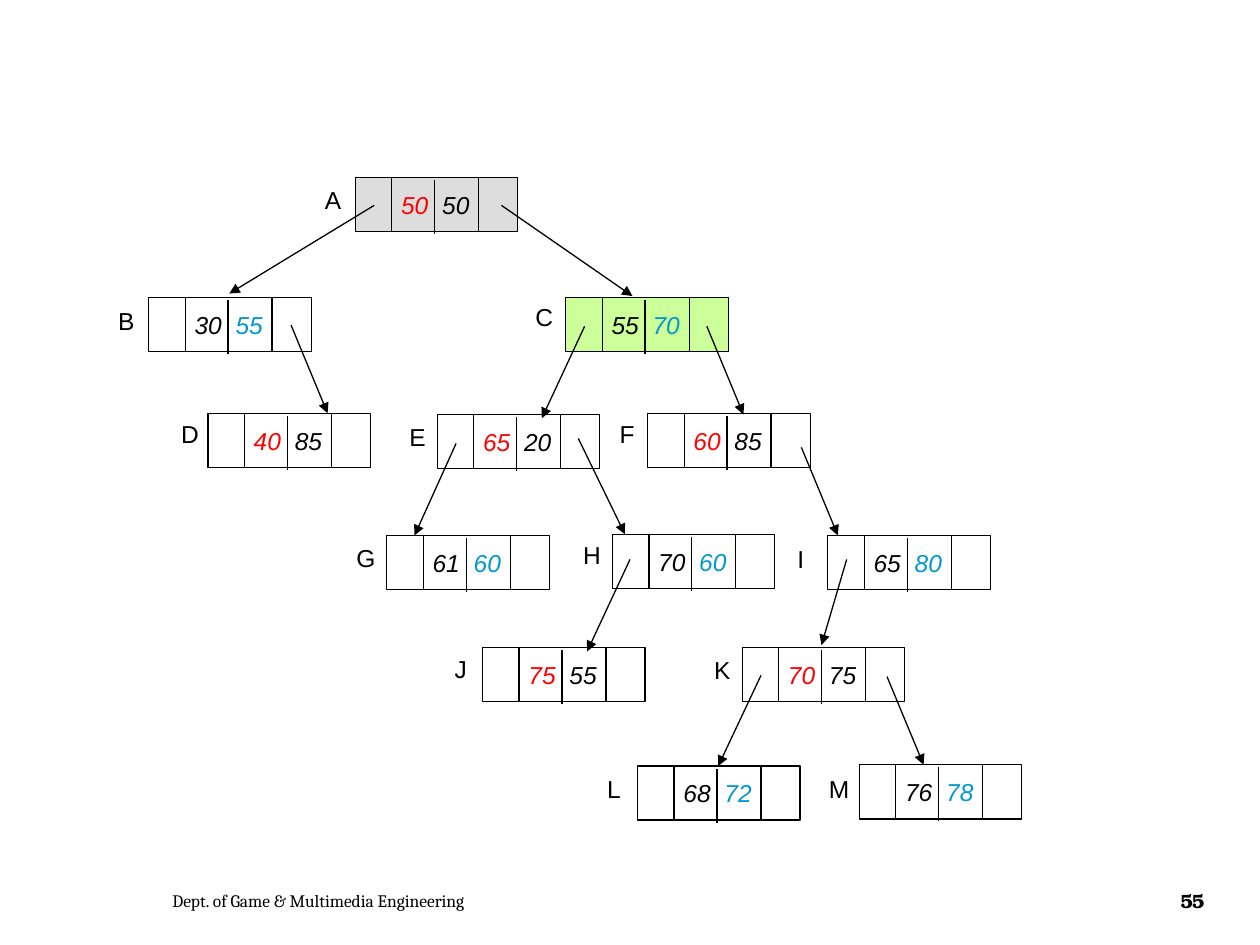
from dataclasses import dataclass
from typing import NamedTuple, Optional

from lxml.etree import SubElement
from pptx import Presentation
from pptx.dml.color import RGBColor
from pptx.enum.shapes import MSO_CONNECTOR, MSO_SHAPE
from pptx.enum.text import MSO_ANCHOR, PP_ALIGN
from pptx.oxml.ns import qn
from pptx.util import Inches, Pt


@dataclass(frozen=True)
class Theme:
    ink: str = "000000"
    left_key: str = "FF0000"
    right_key: str = "0099CC"
    root_fill: str = "DDDDDD"
    child_fill: str = "CCFF99"
    font: str = "Arial"
    footer_font: str = "Cambria"
    number_font: str = "TeX Gyre Bonum"
    key_size: float = 14
    footer_size: float = 10
    number_size: float = 11
    line_width: float = 0.75


class Node(NamedTuple):
    name: str
    level: int
    left: float
    top: float
    keys: tuple[str, str]
    label_left: float
    label_top: float
    fill: Optional[str] = None


class Edge(NamedTuple):
    start: tuple[float, float]
    end: tuple[float, float]


THEME = Theme()

# Node geometry: a wide box, a key box inside it, and a divider between the keys
NODE_WIDTH, NODE_HEIGHT = 1.29, 0.43
KEY_OFFSET, KEY_WIDTH = 0.29, 0.69
DIVIDER_X, DIVIDER_Y = 0.63, 0.02
LABEL_WIDTH, LABEL_HEIGHT = 0.33, 0.33

NODES = [
    Node("A", 0, 2.82, 1.41, ("50", "50"), 2.48, 1.42, THEME.root_fill),
    Node("B", 1, 1.18, 2.36, ("30", "55"), 0.84, 2.38),
    Node("C", 1, 4.49, 2.36, ("55", "70"), 4.15, 2.35, THEME.child_fill),
    Node("D", 2, 1.65, 3.28, ("40", "85"), 1.34, 3.28),
    Node("E", 2, 3.47, 3.29, ("65", "20"), 3.15, 3.30),
    Node("F", 2, 5.14, 3.28, ("60", "85"), 4.82, 3.28),
    Node("G", 3, 3.07, 4.25, ("61", "60"), 2.73, 4.26),
    Node("H", 3, 4.86, 4.24, ("70", "60"), 4.53, 4.24),
    Node("I", 3, 6.57, 4.25, ("65", "80"), 6.23, 4.27),
    Node("J", 4, 3.83, 5.14, ("75", "55"), 3.51, 5.14),
    Node("K", 4, 5.89, 5.14, ("70", "75"), 5.57, 5.15),
    Node("L", 5, 5.06, 6.08, ("68", "72"), 4.72, 6.09),
    Node("M", 5, 6.82, 6.07, ("76", "78"), 6.48, 6.09),
]

EDGES = [
    Edge((2.97, 1.63), (1.82, 2.33)),  # A to B
    Edge((3.98, 1.63), (5.02, 2.35)),  # A to C
    Edge((2.31, 2.58), (2.60, 3.28)),  # B to D
    Edge((4.64, 2.59), (4.30, 3.32)),  # C to E
    Edge((5.61, 2.59), (5.90, 3.29)),  # C to F
    Edge((3.62, 3.52), (3.29, 4.25)),  # E to G
    Edge((4.59, 3.48), (4.96, 4.24)),  # E to H
    Edge((6.36, 3.55), (6.65, 4.25)),  # F to I
    Edge((5.00, 4.44), (4.66, 5.17)),  # H to J
    Edge((6.72, 4.44), (6.52, 5.12)),  # I to K
    Edge((6.04, 5.36), (5.70, 6.08)),  # K to L
    Edge((7.04, 5.37), (7.33, 6.07)),  # K to M
]


def add_run(paragraph, text: str, *, color: str = THEME.ink, size: float = THEME.key_size,
            font: str = THEME.font, bold: bool = False, italic: bool = False,
            spacing: float = 0):
    """Add formatted text; spacing is the extra letter space in points."""
    run = paragraph.add_run()
    run.text = text
    run.font.name = font
    run.font.size = Pt(size)
    run.font.bold = bold
    run.font.italic = italic
    run.font.color.rgb = RGBColor.from_string(color)
    if spacing:
        run.font._element.set("spc", str(round(spacing * 100)))


def add_box(slide, left: float, top: float, width: float, fill: Optional[str] = None):
    shape = slide.shapes.add_shape(MSO_SHAPE.RECTANGLE, Inches(left), Inches(top),
                                   Inches(width), Inches(NODE_HEIGHT))
    shape.shadow.inherit = False
    if fill:
        shape.fill.solid()
        shape.fill.fore_color.rgb = RGBColor.from_string(fill)
    else:
        shape.fill.background()
    shape.line.color.rgb = RGBColor.from_string(THEME.ink)
    shape.line.width = Pt(THEME.line_width)
    return shape


def add_line(slide, edge: Edge, arrow: bool = False) -> None:
    points = [Inches(value) for value in (*edge.start, *edge.end)]
    connector = slide.shapes.add_connector(MSO_CONNECTOR.STRAIGHT, *points)
    connector.line.color.rgb = RGBColor.from_string(THEME.ink)
    connector.line.width = Pt(THEME.line_width)
    if arrow:
        SubElement(connector.line._get_or_add_ln(), qn("a:tailEnd"), type="triangle")
    SubElement(connector._element.spPr, qn("a:effectLst"))


def add_text(slide, text: str, left: float, top: float, width: float, height: float, *,
             align: PP_ALIGN = PP_ALIGN.LEFT, anchor: MSO_ANCHOR = MSO_ANCHOR.TOP, **style):
    text_box = slide.shapes.add_textbox(Inches(left), Inches(top), Inches(width), Inches(height))
    frame = text_box.text_frame
    frame.word_wrap = True
    frame.vertical_anchor = anchor
    paragraph = frame.paragraphs[0]
    paragraph.alignment = align
    add_run(paragraph, text, **style)
    return text_box


def add_node(slide, node: Node) -> None:
    add_box(slide, node.left, node.top, NODE_WIDTH, node.fill)
    key_box = add_box(slide, node.left + KEY_OFFSET, node.top, KEY_WIDTH)
    frame = key_box.text_frame
    frame.word_wrap = False
    frame.vertical_anchor = MSO_ANCHOR.MIDDLE
    paragraph = frame.paragraphs[0]
    paragraph.alignment = PP_ALIGN.CENTER

    # Even levels highlight the left key, odd levels the right key
    colors = (THEME.left_key, THEME.ink) if node.level % 2 == 0 else (THEME.ink, THEME.right_key)
    add_run(paragraph, node.keys[0], color=colors[0], italic=True)
    add_run(paragraph, " ", italic=True, spacing=3.9)
    add_run(paragraph, node.keys[1], color=colors[1], italic=True)

    divider_x, divider_top = node.left + DIVIDER_X, node.top + DIVIDER_Y
    add_line(slide, Edge((divider_x, divider_top), (divider_x, divider_top + NODE_HEIGHT)))
    label = add_text(slide, node.name, node.label_left, node.label_top, LABEL_WIDTH, LABEL_HEIGHT)
    label.text_frame.margin_right = 0


def main() -> None:
    presentation = Presentation()
    presentation.slide_width, presentation.slide_height = Inches(10), Inches(7.5)
    slide = presentation.slides.add_slide(presentation.slide_layouts[6])

    # Tree
    for node in NODES:
        add_node(slide, node)
    for edge in EDGES:
        add_line(slide, edge, arrow=True)

    # Footer and page number
    add_text(slide, "Dept. of Game & Multimedia Engineering", 1.27, 6.95, 4.59, 0.4,
             anchor=MSO_ANCHOR.MIDDLE, font=THEME.footer_font, size=THEME.footer_size)
    add_text(slide, "55", 9.2, 6.95, 0.53, 0.4, align=PP_ALIGN.CENTER,
             anchor=MSO_ANCHOR.MIDDLE, font=THEME.number_font, size=THEME.number_size,
             bold=True, spacing=-0.7)

    presentation.save("out.pptx")


if __name__ == "__main__":
    main()
